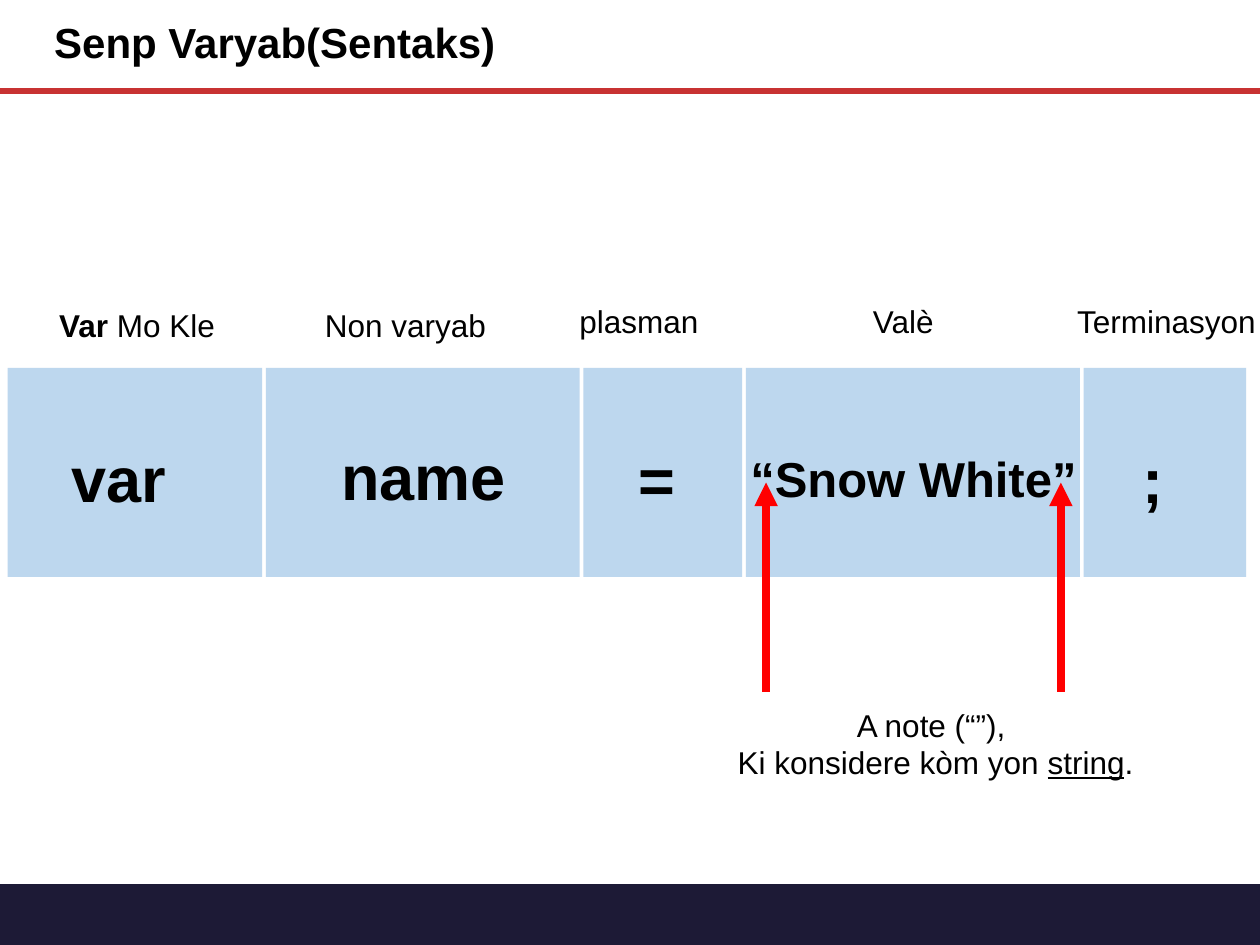
import pptx
import pptx.util
import pptx.dml.color
import pptx.enum.shapes
import pptx.enum.text
import pptx.oxml.ns
import lxml.etree

Inches = pptx.util.Inches
ALIGN = pptx.enum.text.PP_ALIGN
ANCHOR = pptx.enum.text.MSO_ANCHOR
SHAPES = pptx.enum.shapes.MSO_SHAPE

BLOCK_WIDTHS = [2.02, 2.49, 1.26, 2.65, 1.29]
BLOCK_LEFT = 0.06
BLOCK_GAP = 0.03

CODE_PARTS = [
    ("var", (0.47, 3.44, 1.55, 0.71), 36, ALIGN.LEFT),
    ("name", (2.61, 3.42, 2.09, 0.71), 36, ALIGN.LEFT),
    ("=", (4.97, 3.45, 0.93, 1.13), 36, ALIGN.LEFT),
    ("“Snow White”", (5.76, 3.51, 2.98, 0.57), 28, ALIGN.CENTER),
    (";", (8.97, 3.45, 0.93, 0.71), 36, ALIGN.LEFT),
]
LABELS = [
    ([("Var", "bold"), (" Mo Kle", "")], (0.37, 2.38, 1.45, 0.4)),
    ([("Non varyab", "")], (2.48, 2.38, 1.49, 0.4)),
    ([("plasman", "")], (4.5, 2.35, 1.16, 0.4)),
    ([("Valè", "")], (6.83, 2.35, 0.69, 0.4)),
    ([("Terminasyon", "")], (8.45, 2.35, 1.63, 0.4)),
]
NOTE = [
    [("A note (“”), ", "")],
    [("Ki konsidere kòm yon ", ""), ("string", "underline"), (".", "")],
]


def color(hex_value):
    return pptx.dml.color.RGBColor.from_string(hex_value)


def place(shape, box):
    shape.left, shape.top, shape.width, shape.height = map(Inches, box)


def add_runs(paragraph, runs, size, align):
    paragraph.alignment = align
    for text, style in runs:
        run = paragraph.add_run()
        run.text = text
        run.font.name = "Arial"
        run.font.size = pptx.util.Pt(size)
        run.font.color.rgb = color("000000")
        run.font.bold = style == "bold"
        run.font.underline = style == "underline"


def add_title(slide, text):
    title = slide.shapes.title
    place(title, (0.33, 0, 5.98, 0.72))
    title.text_frame.vertical_anchor = ANCHOR.MIDDLE
    paragraph = title.text_frame.paragraphs[0]
    paragraph.line_spacing = 0.9
    add_runs(paragraph, [(text, "bold")], 24, ALIGN.LEFT)


def add_block(slide, kind, box, fill):
    shape = slide.shapes.add_shape(kind, *map(Inches, box))
    shape.shadow.inherit = False
    shape.fill.solid()
    shape.fill.fore_color.rgb = color(fill)
    shape.line.fill.background()


def add_text(slide, paragraphs, box, size, align=ALIGN.LEFT, wrap=False):
    frame = slide.shapes.add_textbox(*map(Inches, box)).text_frame
    frame.word_wrap = wrap
    frame.auto_size = pptx.enum.text.MSO_AUTO_SIZE.SHAPE_TO_FIT_TEXT
    for index, runs in enumerate(paragraphs):
        paragraph = frame.add_paragraph() if index else frame.paragraphs[0]
        add_runs(paragraph, runs, size, align)


def add_line(slide, start, end, line_color, width, arrow=False):
    connector = slide.shapes.add_connector(
        pptx.enum.shapes.MSO_CONNECTOR.STRAIGHT, *map(Inches, start + end))
    connector.line.color.rgb = color(line_color)
    connector.line.width = pptx.util.Pt(width)
    qn = pptx.oxml.ns.qn
    if arrow:
        line = connector.line._get_or_add_ln()
        lxml.etree.SubElement(line, qn("a:tailEnd"), type="triangle")
    lxml.etree.SubElement(connector._element.spPr, qn("a:effectLst"))


def main():
    presentation = pptx.Presentation()
    presentation.slide_width = Inches(10)
    presentation.slide_height = Inches(7.5)
    slide = presentation.slides.add_slide(presentation.slide_layouts[5])

    add_block(slide, SHAPES.FLOWCHART_PROCESS, (0, 7.02, 10.01, 0.5), "1D1A36")
    add_line(slide, (0, 0.72), (10, 0.72), "C83232", 3.25)
    add_title(slide, "Senp Varyab(Sentaks)")

    left = BLOCK_LEFT
    for width in BLOCK_WIDTHS:
        add_block(slide, SHAPES.RECTANGLE, (left, 2.92, width, 1.66), "BDD7EE")
        left += width + BLOCK_GAP
    for text, box, size, align in CODE_PARTS:
        add_text(slide, [[(text, "bold")]], box, size, align, wrap=True)
    for runs, box in LABELS:
        add_text(slide, [runs], box, 18)
    add_text(slide, NOTE, (5.74, 5.55, 3.37, 0.71), 18, ALIGN.CENTER)
    for x in (8.42, 6.08):
        add_line(slide, (x, 5.49), (x, 3.83), "FF0000", 4.5, arrow=True)

    presentation.save("out.pptx")


if __name__ == "__main__":
    main()
